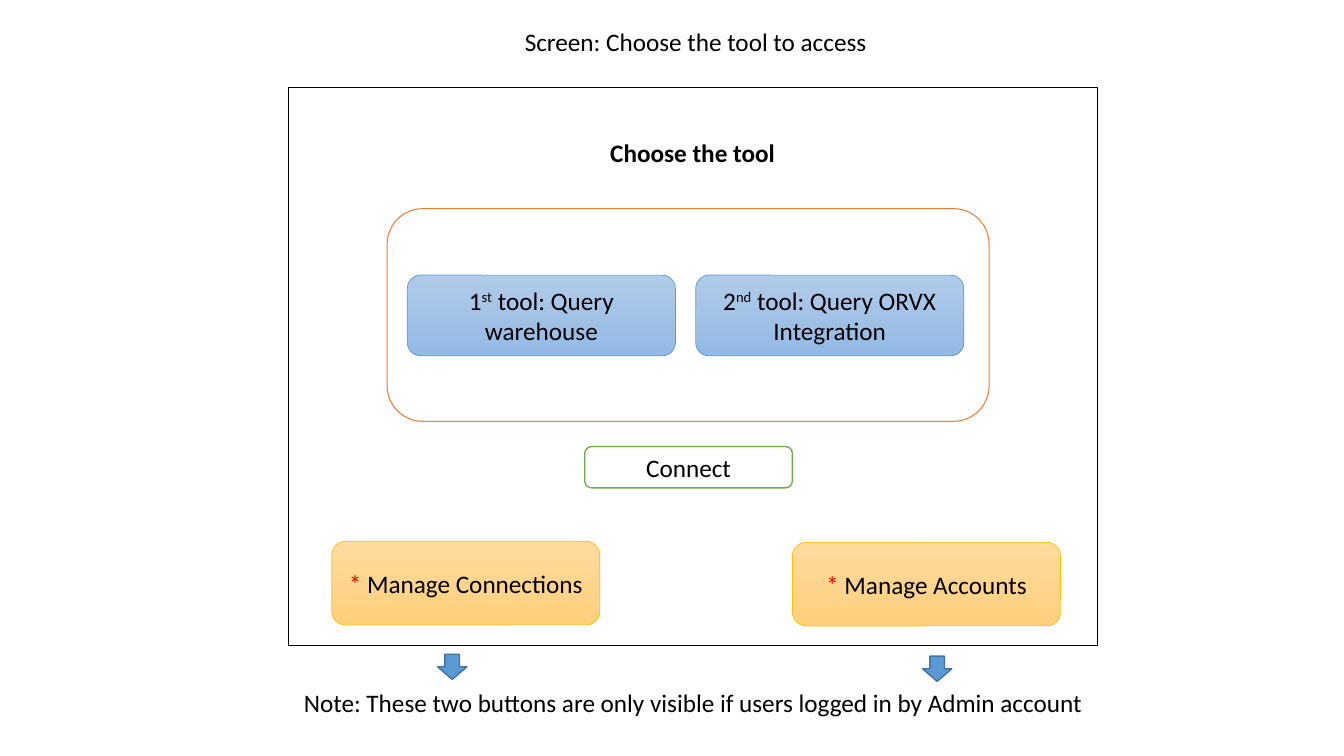
from dataclasses import dataclass
from typing import Optional

from pptx import Presentation
from pptx.dml.color import RGBColor
from pptx.enum.shapes import MSO_SHAPE
from pptx.enum.text import MSO_ANCHOR, MSO_AUTO_SIZE, PP_ALIGN
from pptx.util import Inches, Pt

COLORS = {
    "black": "000000", "white": "FFFFFF", "red": "FF0000",
    "orange": "ED7D31", "green": "70AD47", "gold": "FFC000",
    "gold_top": "FFDB9E", "gold_bottom": "FFD07C",
    "blue": "5B9BD5", "blue_edge": "43739E",
    "blue_top": "B1CBE9", "blue_bottom": "93B9E4",
}
BLUE_FADE = ("blue_top", "blue_bottom")
GOLD_FADE = ("gold_top", "gold_bottom")
BUTTON_WIDTH = 2.66


@dataclass(frozen=True)
class Piece:
    """A stretch of text in one format."""
    text: str
    color: str = "black"
    bold: bool = False
    superscript: bool = False


@dataclass(frozen=True)
class Box:
    """A preset shape; one fill colour is solid, two make a gradient."""
    left: float
    top: float
    width: float
    height: float
    pieces: tuple[Piece, ...] = ()
    fill: tuple[str, ...] = ()
    line: Optional[str] = None
    line_width: float = 0.75
    preset: MSO_SHAPE = MSO_SHAPE.ROUNDED_RECTANGLE


def rgb(name: str) -> RGBColor:
    """Look up a palette colour."""
    return RGBColor.from_string(COLORS[name])


def write_text(shape, pieces: tuple[Piece, ...]) -> None:
    """Write centred 18 pt text into a shape."""
    frame = shape.text_frame
    frame.word_wrap = True
    frame.auto_size = MSO_AUTO_SIZE.NONE
    frame.vertical_anchor = MSO_ANCHOR.MIDDLE
    paragraph = frame.paragraphs[0]
    paragraph.alignment = PP_ALIGN.CENTER
    for piece in pieces:
        run = paragraph.add_run()
        run.text = piece.text
        run.font.name = "Calibri"
        run.font.size = Pt(18)
        run.font.bold = piece.bold
        run.font.color.rgb = rgb(piece.color)
        if piece.superscript:
            run._r.get_or_add_rPr().set("baseline", "30000")


def paint(shape, fill: tuple[str, ...]) -> None:
    """Give a shape no fill, a solid fill or a top-down gradient."""
    if not fill:
        shape.fill.background()
    elif len(fill) == 1:
        shape.fill.solid()
        shape.fill.fore_color.rgb = rgb(fill[0])
    else:
        shape.fill.gradient()
        shape.fill.gradient_angle = 270
        for stop, name in zip(shape.fill.gradient_stops, fill):
            stop.color.rgb = rgb(name)


def draw_box(slide, box: Box) -> None:
    """Draw one box with its fill, line and text."""
    place = map(Inches, (box.left, box.top, box.width, box.height))
    shape = slide.shapes.add_shape(box.preset, *place)
    shape.shadow.inherit = False
    paint(shape, box.fill)
    if box.line:
        shape.line.color.rgb = rgb(box.line)
        shape.line.width = Pt(box.line_width)
    else:
        shape.line.fill.background()
    if box.pieces:
        write_text(shape, box.pieces)


def tool_button(left: float, number: str, suffix: str, name: str) -> Box:
    """Describe a blue button for a numbered tool."""
    pieces = (Piece(number), Piece(suffix, superscript=True),
              Piece(f" tool: {name}"))
    return Box(left, 2.73, BUTTON_WIDTH, 0.8, pieces, BLUE_FADE, "blue", 0.5)


def admin_button(left: float, top: float, name: str) -> Box:
    """Describe a gold button marked with a red asterisk."""
    pieces = (Piece("*", "red"), Piece(f" {name}"))
    return Box(left, top, BUTTON_WIDTH, 0.83, pieces, GOLD_FADE, "gold", 0.5)


def note_arrow(left: float, top: float) -> Box:
    """Describe a small arrow pointing down to the note."""
    return Box(left, top, 0.29, 0.25, fill=("blue",), line="blue_edge",
               line_width=1, preset=MSO_SHAPE.DOWN_ARROW)


def add_title(slide, text: str) -> None:
    """Place and format the slide title."""
    title = slide.shapes.title
    title.left, title.top = Inches(4.87), Inches(0.03)
    title.width, title.height = Inches(4.06), Inches(0.77)
    write_text(title, (Piece(text),))


NOTE = ("Note: These two buttons are only visible if users logged in "
        "by Admin account")
BOXES = (
    Box(2.86, 0.87, 8.03, 5.53, line="black", preset=MSO_SHAPE.RECTANGLE),
    Box(5.54, 1.1, BUTTON_WIDTH, 0.83,
        (Piece("Choose the tool", bold=True),), ("white",)),
    Box(3.84, 2.07, 5.97, 2.11, line="orange"),
    tool_button(4.04, "1", "st", "Query warehouse"),
    tool_button(6.9, "2", "nd", "Query ORVX Integration"),
    Box(5.8, 4.43, 2.06, 0.41, (Piece("Connect"),), ("white",), "green", 1),
    admin_button(3.29, 5.37, "Manage Connections"),
    admin_button(7.86, 5.38, "Manage Accounts"),
    Box(2.86, 6.58, 8.03, 0.77, (Piece(NOTE),), ("white",)),
    note_arrow(4.34, 6.49),
    note_arrow(9.15, 6.51),
)


def main() -> None:
    """Build and save the slide."""
    deck = Presentation()
    deck.slide_width, deck.slide_height = Inches(13.33), Inches(7.5)
    slide = deck.slides.add_slide(deck.slide_layouts.get_by_name("Title Only"))
    add_title(slide, "Screen: Choose the tool to access")
    for box in BOXES:
        draw_box(slide, box)
    deck.save("out.pptx")


main()
